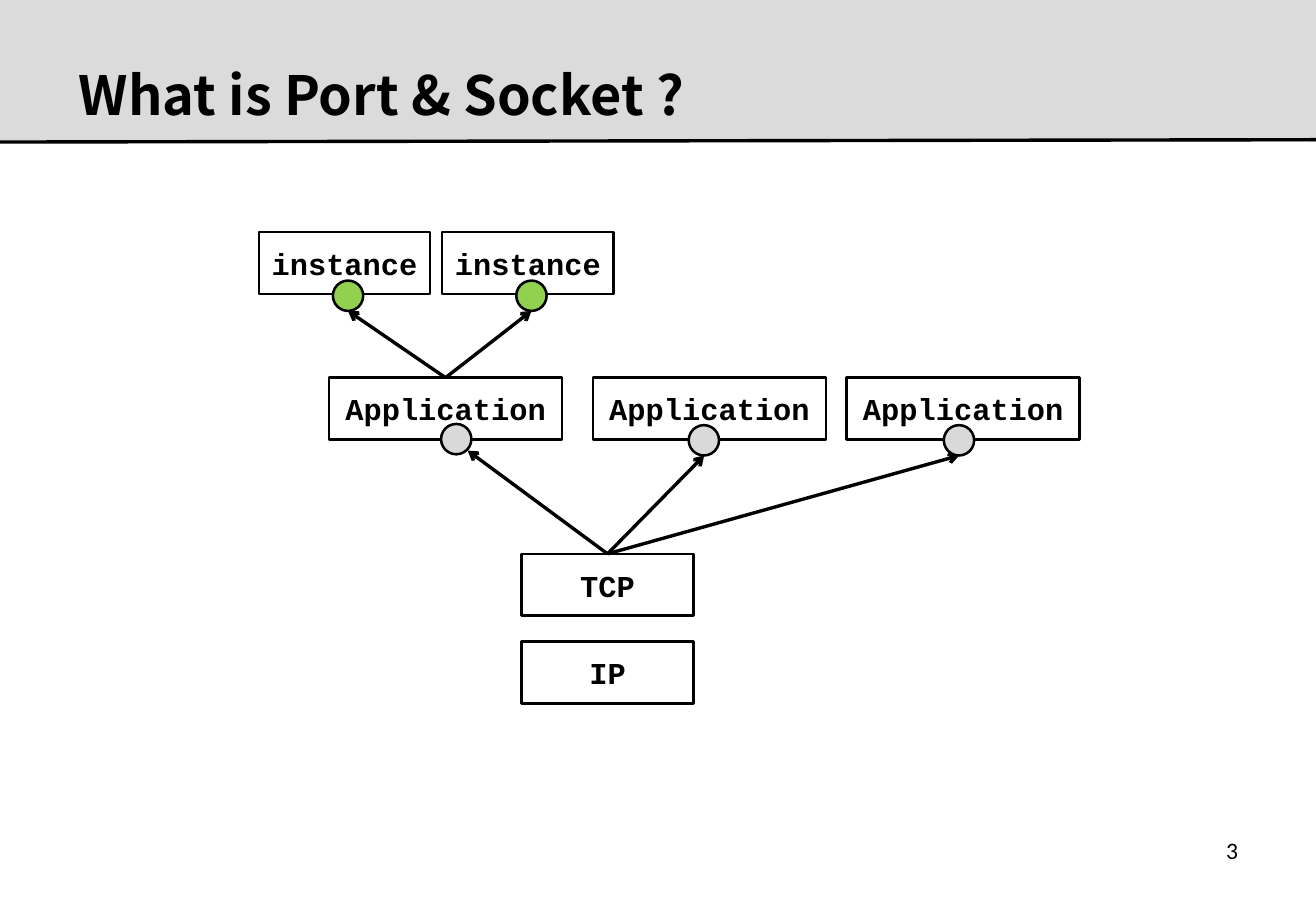
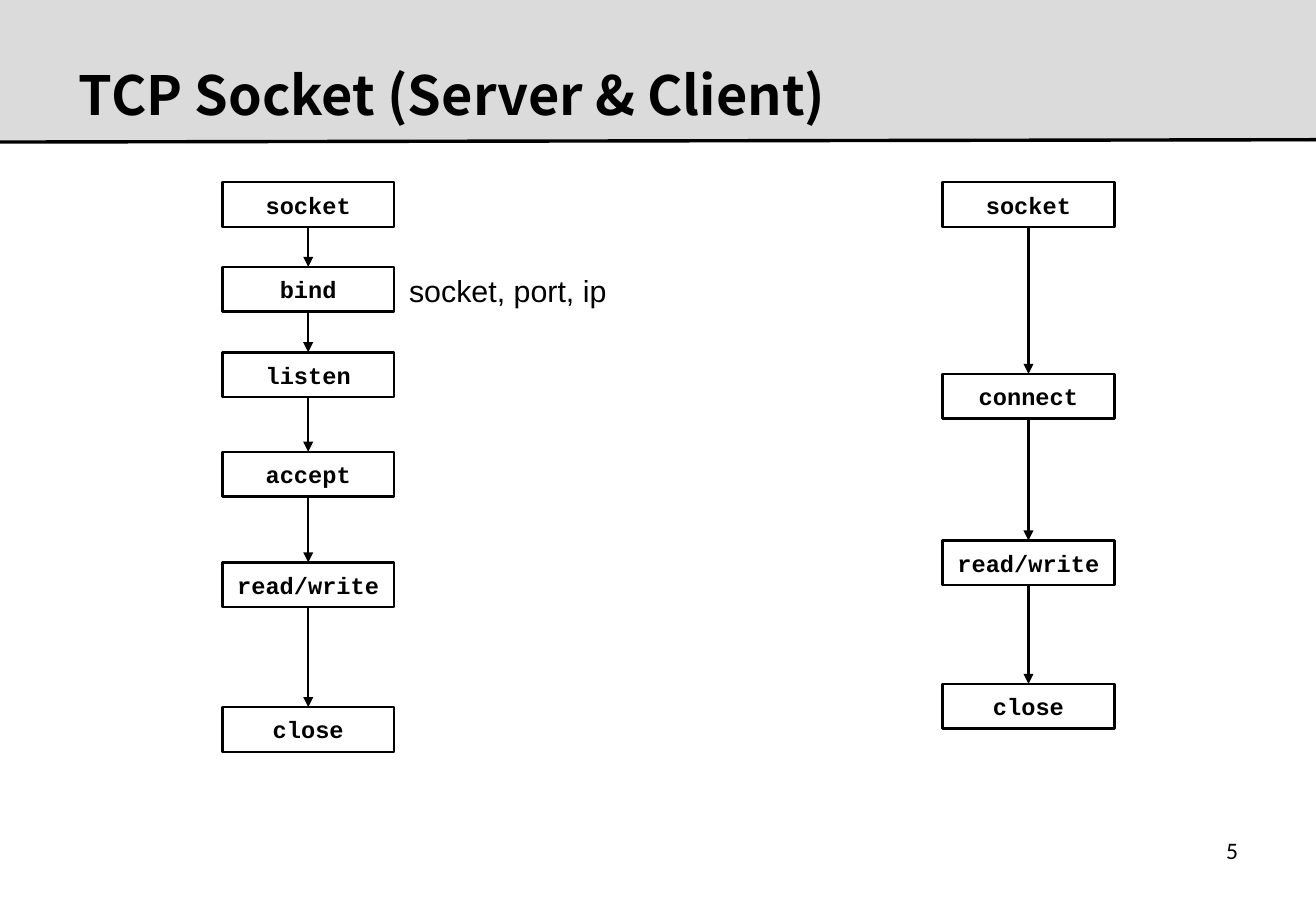
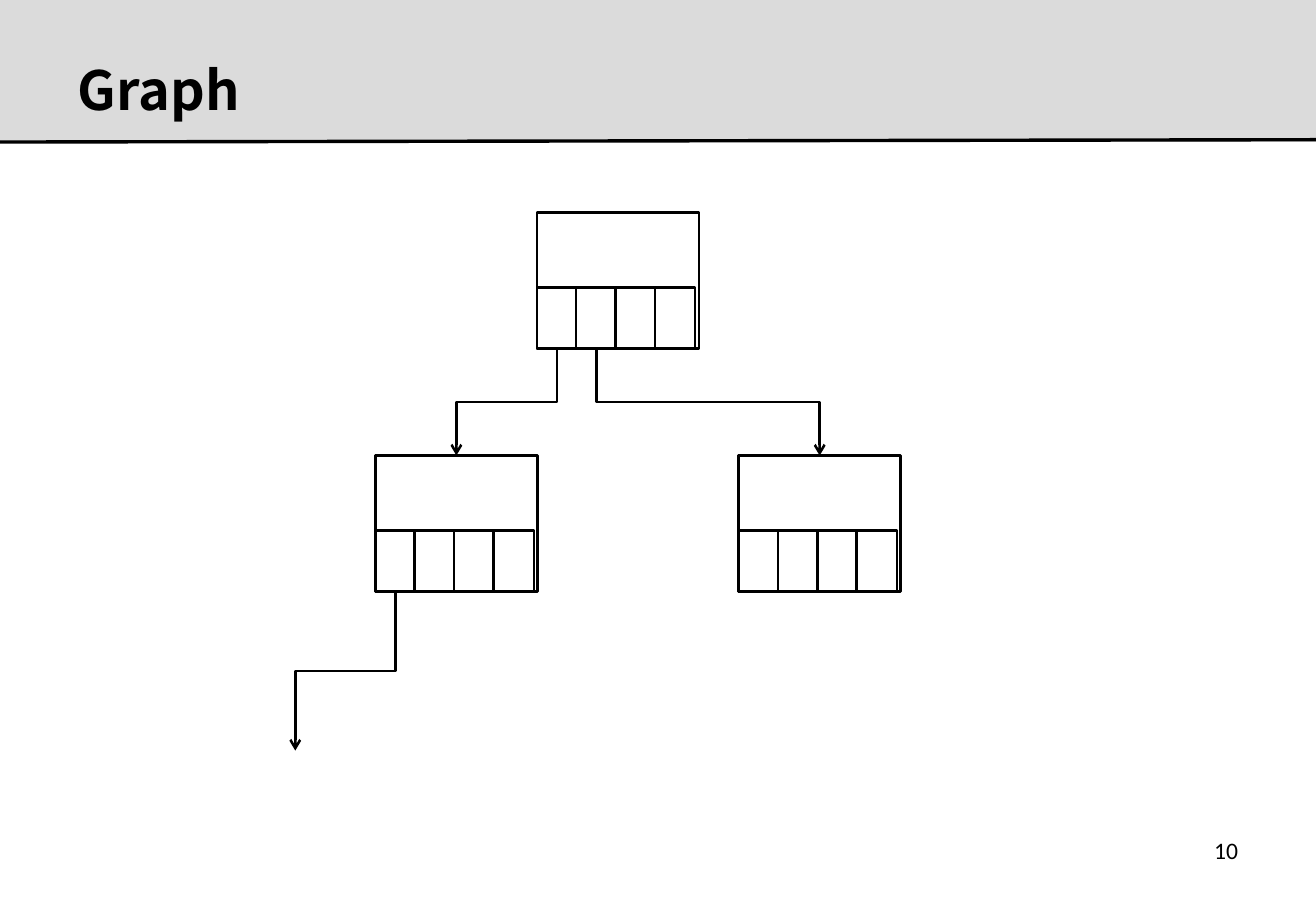
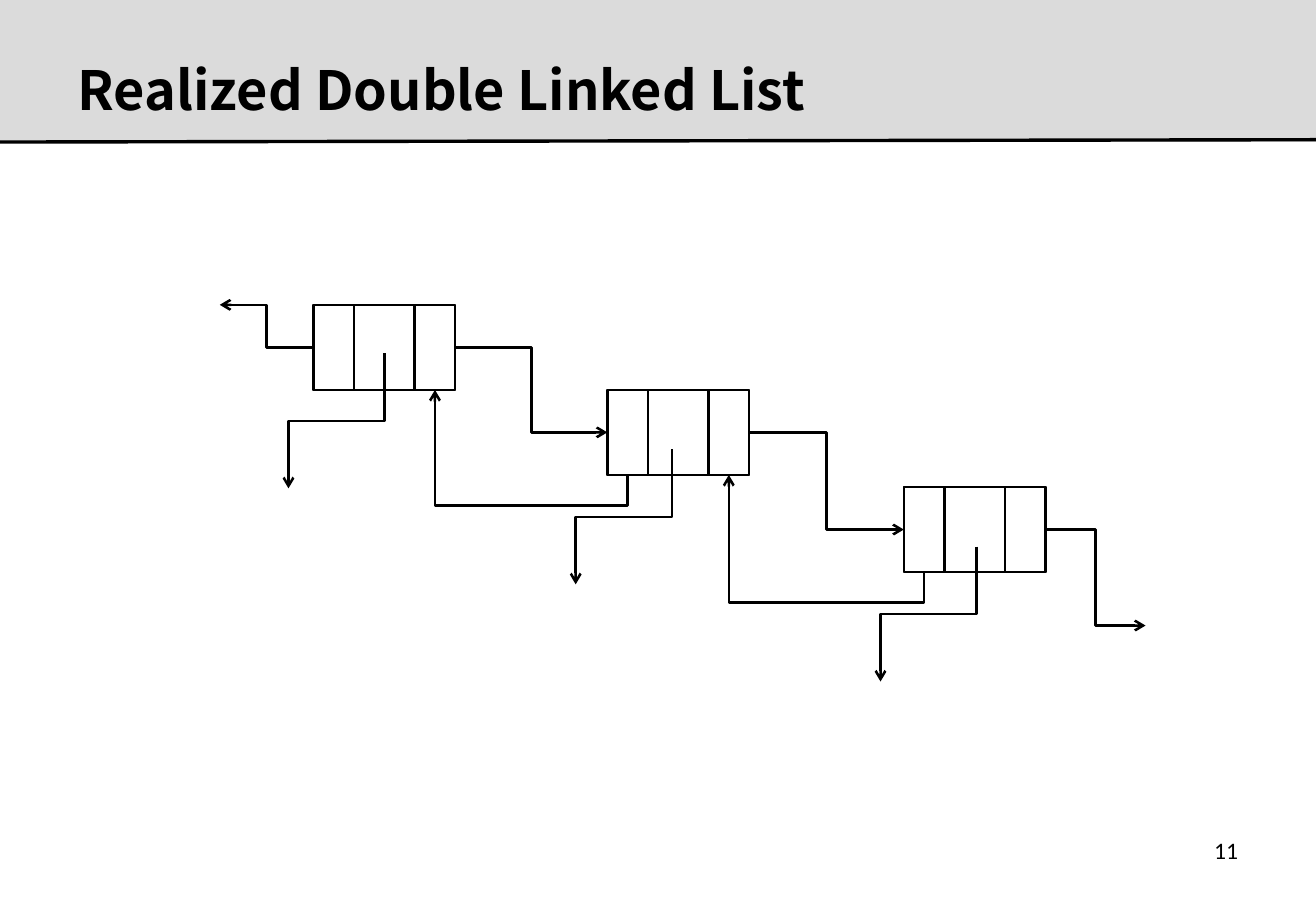
from itertools import pairwise

from lxml import etree
from pptx import Presentation
from pptx.dml.color import RGBColor
from pptx.enum.shapes import MSO_CONNECTOR, MSO_SHAPE
from pptx.enum.text import MSO_ANCHOR, MSO_AUTO_SIZE, PP_ALIGN
from pptx.oxml.ns import qn
from pptx.util import Pt

RECT, OVAL = MSO_SHAPE.RECTANGLE, MSO_SHAPE.OVAL
STRAIGHT, ELBOW = MSO_CONNECTOR.STRAIGHT, MSO_CONNECTOR.ELBOW
LEFT, CENTER, RIGHT = PP_ALIGN.LEFT, PP_ALIGN.CENTER, PP_ALIGN.RIGHT
TOP, MIDDLE = MSO_ANCHOR.TOP, MSO_ANCHOR.MIDDLE
NO_AUTOFIT = MSO_AUTO_SIZE.NONE
TOP_SIDE, BOTTOM_SIDE = 0, 2
TITLE_ONLY = 5

COLORS = {
    "ink": "000000",
    "paper": "FFFFFF",
    "band": "DBDBDB",
    "port": "D9D9D9",
    "socket": "92D050",
}
TITLE_FONT, CODE_FONT = "Noto Sans CJK KR", "Courier New"
NUMBER_FONT, NOTE_FONT = "Calibri", "Arial"
WIDTH, HEIGHT = 780, 540
LOWER_TITLE = (38.9, 27.4, 702, 50.4)


def color(name):
    return RGBColor.from_string(COLORS[name])


class Deck:
    """Shared style, plus the slide being drawn."""

    def __init__(self):
        self.file = Presentation()
        self.file.slide_width, self.file.slide_height = Pt(WIDTH), Pt(HEIGHT)
        self.layout = self.file.slide_layouts[TITLE_ONLY]
        self.slide = None

    def start(self, title, number, title_at=(39.6, 30.2, 700, 50.4)):
        self.slide = self.file.slides.add_slide(self.layout)
        if len(self.file.slides) == 1:
            self.frame_layout()
        heading = self.slide.shapes.title
        heading.left, heading.top, heading.width, heading.height = map(Pt, title_at)
        self.set_text(heading, title, TITLE_FONT, 32, LEFT, bold=True)
        self.text(str(number), (558.7, 491.8, 182.2, 37.4), NUMBER_FONT, 14, RIGHT)

    def frame_layout(self):
        """Put the title band and its rule on the layout, behind the title."""
        band = self.box(0, 0, WIDTH, 84.2, fill="band", weight=0)
        rule = self.line((0, 84.2), (WIDTH, 82.8), weight=2)
        for index, part in enumerate((band, rule), start=2):
            self.layout.shapes.element.insert(index, part.element)

    def set_text(self, shape, text, font, size, align, bold=False, anchor=MIDDLE, wrap=True):
        frame = shape.text_frame
        frame.text = text
        frame.word_wrap = wrap
        frame.auto_size = NO_AUTOFIT
        frame.vertical_anchor = anchor
        paragraph = frame.paragraphs[0]
        paragraph.alignment = align
        paragraph.font.name = font
        paragraph.font.size = Pt(size)
        paragraph.font.bold = bold
        paragraph.font.color.rgb = color("ink")

    def text(self, text, at, font, size, align=LEFT, wrap=True):
        label = self.slide.shapes.add_textbox(*map(Pt, at))
        self.set_text(label, text, font, size, align, anchor=TOP, wrap=wrap)

    def box(self, x, y, w, h, text="", size=18, fill="paper", kind=RECT, weight=1.5):
        shape = self.slide.shapes.add_shape(kind, Pt(x), Pt(y), Pt(w), Pt(h))
        shape.shadow.inherit = False
        shape.fill.solid()
        shape.fill.fore_color.rgb = color(fill)
        if weight:
            shape.line.color.rgb = color("ink")
            shape.line.width = Pt(weight)
        else:
            shape.line.fill.background()
        if text:
            self.set_text(shape, text, CODE_FONT, size, CENTER, bold=True, wrap=False)
        return shape

    def dot(self, x, y, fill):
        self.box(x, y, 18, 18, fill=fill, kind=OVAL)

    def line(self, start, end, weight=1.5, head=None, kind=STRAIGHT):
        line = self.slide.shapes.add_connector(kind, *map(Pt, (*start, *end)))
        line.line.color.rgb = color("ink")
        line.line.width = Pt(weight)
        properties = line.element.spPr
        if head:
            etree.SubElement(properties.find(qn("a:ln")), qn("a:tailEnd"), type=head)
        etree.SubElement(properties, qn("a:effectLst"))
        return line

    def arrow_from_top(self, source, end):
        arrow = self.line((0, 0), end, weight=2, head="arrow")
        arrow.begin_connect(source, TOP_SIDE)

    def arrow_down(self, upper, lower):
        arrow = self.line((0, 0), (0, 0), head="triangle")
        arrow.begin_connect(upper, BOTTOM_SIDE)
        arrow.end_connect(lower, TOP_SIDE)

    def elbow(self, start, end):
        """Bent arrow that leaves sideways."""
        self.line(start, end, head="arrow", kind=ELBOW)

    def elbow_down(self, start, end, bend=0.5):
        """Bent arrow that leaves vertically: the frame is turned by 90 degrees."""
        arrow = self.line(start, end, head="arrow", kind=ELBOW)
        (x1, y1), (x2, y2) = start, end
        length, span = abs(y2 - y1), abs(x2 - x1)
        arrow.left, arrow.top = Pt((x1 + x2 - length) / 2), Pt((y1 + y2 - span) / 2)
        arrow.width, arrow.height = Pt(length), Pt(span)
        properties = arrow.element.spPr
        turn = properties.find(qn("a:xfrm"))
        turn.set("rot", str(90 * 60000))
        turn.set("flipH", str(int(y2 < y1)))
        turn.set("flipV", str(int(x2 > x1)))
        guides = properties.find(qn("a:prstGeom")).get_or_add_avLst()
        etree.SubElement(guides, qn("a:gd"), name="adj1", fmla=f"val {round(bend * 100000)}")


def port_and_socket(deck):
    deck.start("What is Port & Socket ?", 3)
    # Protocol stack
    tcp, _ip = [deck.box(309, y, 102.2, 36.7, name)
                for name, y in (("TCP", 328.3), ("IP", 380.2))]
    # Applications, each with a port
    applications = []
    for x, port_x, port_y in ((195, 261.4, 251.3), (351.4, 408.2, 252), (501.8, 559.4, 252)):
        applications.append(deck.box(x, 223.9, 138.2, 36.7, "Application"))
        deck.dot(port_x, port_y, "port")
    for end in ((277.2, 267.1), (417.4, 270), (568.6, 270)):
        deck.arrow_from_top(tcp, end)
    # Instances of the first application, each with a socket
    for x in (153.4, 262.1):
        deck.box(x, 137.5, 101.5, 36.7, "instance")
        deck.dot(x + 43.9, 166.3, "socket")
        deck.arrow_from_top(applications[0], (x + 52.9, 184.3))


def server_and_client(deck):
    deck.start("TCP Socket (Server & Client)", 5)
    server = {"socket": 108, "bind": 158.2, "listen": 208.8, "accept": 267.8,
              "read/write": 333.4, "close": 419.2}
    client = {"socket": 108, "connect": 221.6, "read/write": 320.4, "close": 405.4}
    for x, steps in ((131.8, server), (558.7, client)):
        calls = [deck.box(x, y, 101.8, 26.5, name, size=14) for name, y in steps.items()]
        for upper, lower in pairwise(calls):
            deck.arrow_down(upper, lower)
    deck.text("socket, port, ip", (235.4, 157.7, 135.4, 28.8), NOTE_FONT, 18, wrap=False)


def graph(deck):
    deck.start("Graph", 10, LOWER_TITLE)
    node_w, node_h, slot_w, slot_h, pitch = 96, 80.6, 24, 36, 23.3
    root, left, right = (318.2, 126), (222.5, 270), (437.8, 270)
    # Nodes with four link slots
    for x, y in (root, left, right):
        deck.box(x, y, node_w, node_h)
        for slot in range(4):
            deck.box(x + slot * pitch, y + node_h - slot_h, slot_w, slot_h)

    # Links
    def slot_exit(node, slot):
        return node[0] + slot * pitch + slot_w / 2, node[1] + node_h

    for slot, child in enumerate((left, right)):
        deck.elbow_down(slot_exit(root, slot), (child[0] + node_w / 2, child[1]))
    deck.elbow_down(slot_exit(left, 0), (175, 445))


def double_linked_list(deck):
    deck.start("Realized Double Linked List", 11, LOWER_TITLE)
    node_w, node_h, link_w, drop = 84, 50.4, 24, 18
    nodes = ((185.8, 180.7), (360, 231.1), (535.7, 288.7))
    # Nodes with a link cell at either end
    for x, y in nodes:
        deck.box(x, y, node_w, node_h)
        for link_x in (x, x + node_w - link_w):
            deck.box(link_x, y, link_w, node_h)
    # Next and previous links
    for (x1, y1), (x2, y2) in pairwise(nodes):
        deck.elbow((x1 + node_w, y1 + node_h / 2), (x2, y2 + node_h / 2))
        deck.elbow_down((x2 + link_w / 2, y2 + node_h),
                        (x1 + node_w - link_w / 2, y1 + node_h), bend=-drop / (y2 - y1))
    # Open ends of the list
    (first_x, first_y), (last_x, last_y) = nodes[0], nodes[-1]
    deck.elbow((first_x, first_y + node_h / 2), (130.3, first_y))
    deck.elbow((last_x + node_w, last_y + node_h / 2), (679, 370.8))
    # Data pointers
    for x, y in ((228, 209.5), (398.2, 266.4), (578.9, 324)):
        deck.elbow_down((x, y), (x - 57, y + 80))


def main():
    deck = Deck()
    for draw in (port_and_socket, server_and_client, graph, double_linked_list):
        draw(deck)
    deck.file.save("out.pptx")


if __name__ == "__main__":
    main()
